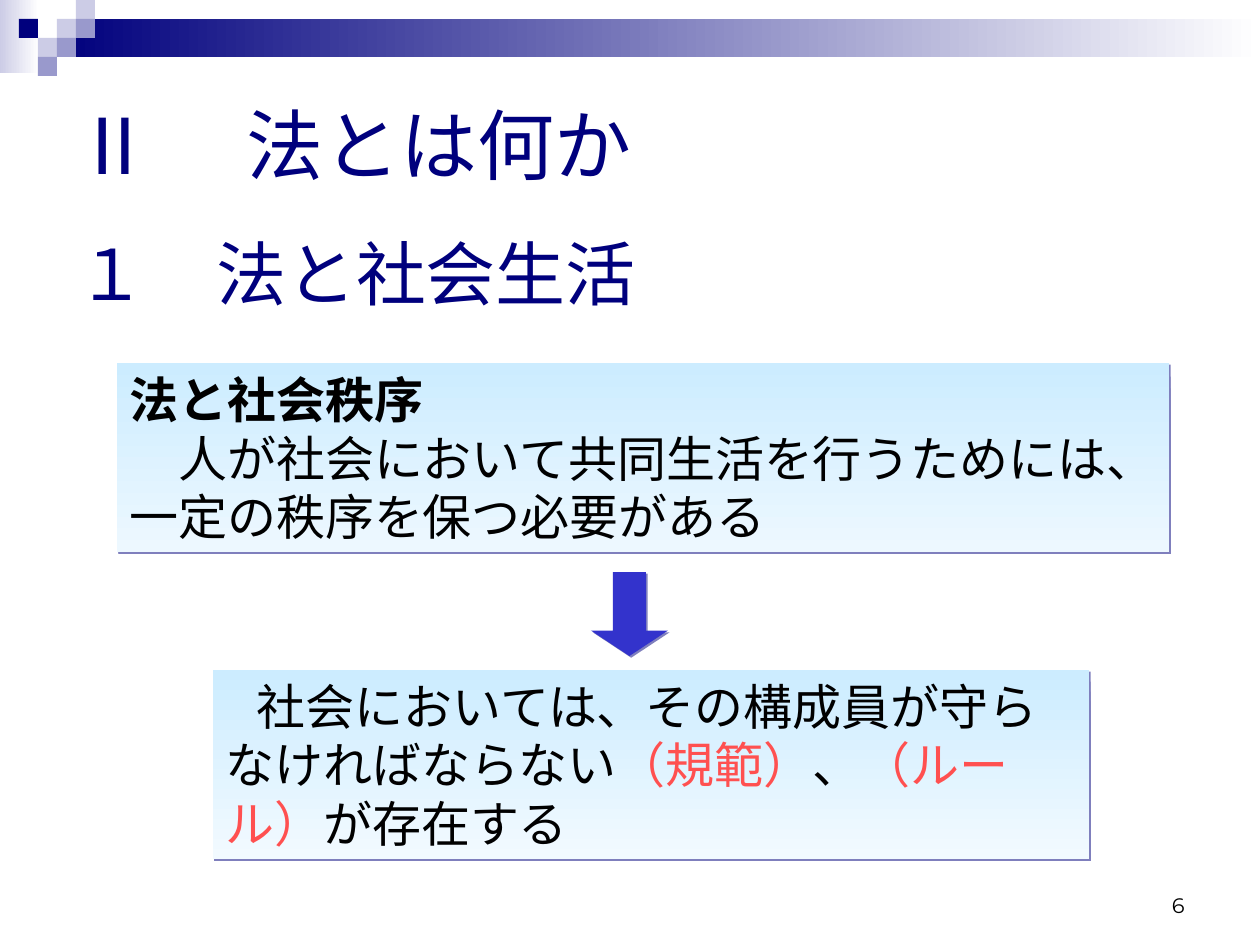
from lxml.etree import SubElement
from pptx import Presentation
from pptx.dml.color import RGBColor
from pptx.enum.shapes import MSO_SHAPE
from pptx.enum.text import MSO_ANCHOR, PP_ALIGN
from pptx.oxml.ns import qn
from pptx.util import Pt

PX = 914400 / 126
NAVY, LILAC, VIOLET = "00007D", "CCCCE6", "9999CC"
BLACK, RED, BLUE, SKY, WHITE = "000000", "FF5050", "3333CC", "CCECFF", "FFFFFF"

CELL = 19
BANDS = [
    ((0, 0, 39, 73), (LILAC, WHITE)),
    ((57, 19, 1203, 38), (NAVY, WHITE)),
]
MOSAIC = [
    (3, 1, LILAC), (4, 0, LILAC), (4, 1, VIOLET), (2, 2, LILAC),
    (1, 1, NAVY), (3, 2, VIOLET), (2, 3, VIOLET),
]
HEADINGS = [
    ((63, 63, 1134, 161), "Ⅱ 　法とは何か", 44, MSO_ANCHOR.MIDDLE, 0),
    ((64, 224, 1134, 101), "１　法と社会生活", 40, MSO_ANCHOR.TOP, 10),
]
ORDER = [
    [("法と社会秩序", {"bold": True}), ("\n", {}),
     ("　人が社会において共同生活を行うためには、", {})],
    [("一定の秩序を保つ必要がある", {})],
]
RULES = [[
    ("　", {"size": 18}),
    ("社会においては、その構成員が守らなければならない", {}),
    ("（規範）", {"color": RED}),
    ("、", {}),
    ("（ルール）", {"color": RED}),
    ("が存在する", {}),
]]
PANELS = [
    ((117, 363, 1052, 189), (SKY, "EDF8FF"), ORDER, False),
    ((213, 670, 876, 189), (SKY, "F2FAFF"), RULES, True),
]
ARROW = (591, 572, 77, 84)
PAGE_NUMBER = (903, 861, 294, 63)


def emu(lengths):
    return [round(length * PX) for length in lengths]


def rgb(color):
    return RGBColor.from_string(color)


def add_block(place, colors, angle=0, kind=MSO_SHAPE.RECTANGLE, shadow=False):
    block = slide.shapes.add_shape(kind, *emu(place))
    if len(colors) == 1:
        block.fill.solid()
        block.fill.fore_color.rgb = rgb(colors[0])
    else:
        block.fill.gradient()
        block.fill.gradient_angle = angle
        for stop, color in zip(block.fill.gradient_stops, colors):
            stop.color.rgb = rgb(color)
    block.line.fill.background()
    block.shadow.inherit = False
    if shadow:
        effects = block.element.spPr.find(qn("a:effectLst"))
        outer = SubElement(effects, qn("a:outerShdw"), dist="17961",
                           dir="2700000", algn="ctr", rotWithShape="0")
        tint = SubElement(outer, qn("a:srgbClr"), val=NAVY)
        SubElement(tint, qn("a:alpha"), val="50000")
    return block


def add_run(paragraph, text, size=28, color=BLACK, bold=False, font="Arial"):
    if text == "\n":
        paragraph.add_line_break()
        return
    run = paragraph.add_run()
    run.text = text
    run.font.size = Pt(size)
    run.font.bold = bold
    run.font.name = font
    run.font.color.rgb = rgb(color)


def write(holder, paragraphs, anchor=MSO_ANCHOR.TOP, align=PP_ALIGN.LEFT,
          before=0, wrap=True):
    frame = holder.text_frame
    frame.word_wrap = wrap
    frame.vertical_anchor = anchor
    for index, runs in enumerate(paragraphs):
        paragraph = frame.add_paragraph() if index else frame.paragraphs[0]
        paragraph.alignment = align
        paragraph.space_before = Pt(before)
        for text, style in runs:
            add_run(paragraph, text, **style)


deck = Presentation()
deck.slide_width, deck.slide_height = emu((1260, 945))
slide = deck.slides.add_slide(deck.slide_layouts[6])

for place, colors in BANDS:
    add_block(place, colors)
for column, row, color in MOSAIC:
    add_block((column * CELL, row * CELL, CELL, CELL), [color])

number = slide.shapes.add_textbox(*emu(PAGE_NUMBER))
write(number, [[("6", {"size": 12, "font": "Montserrat"})]],
      anchor=MSO_ANCHOR.BOTTOM, align=PP_ALIGN.RIGHT)

for place, text, size, anchor, before in HEADINGS:
    heading = slide.shapes.add_textbox(*emu(place))
    write(heading, [[(text, {"size": size, "color": NAVY})]],
          anchor=anchor, before=before)

for place, colors, paragraphs, wrap in PANELS:
    panel = add_block(place, colors, angle=270, shadow=True)
    write(panel, paragraphs, wrap=wrap)

arrow = add_block(ARROW, [BLUE], kind=MSO_SHAPE.DOWN_ARROW, shadow=True)
arrow.adjustments[0] = 0.43
arrow.adjustments[1] = 0.33

deck.save("out.pptx")
